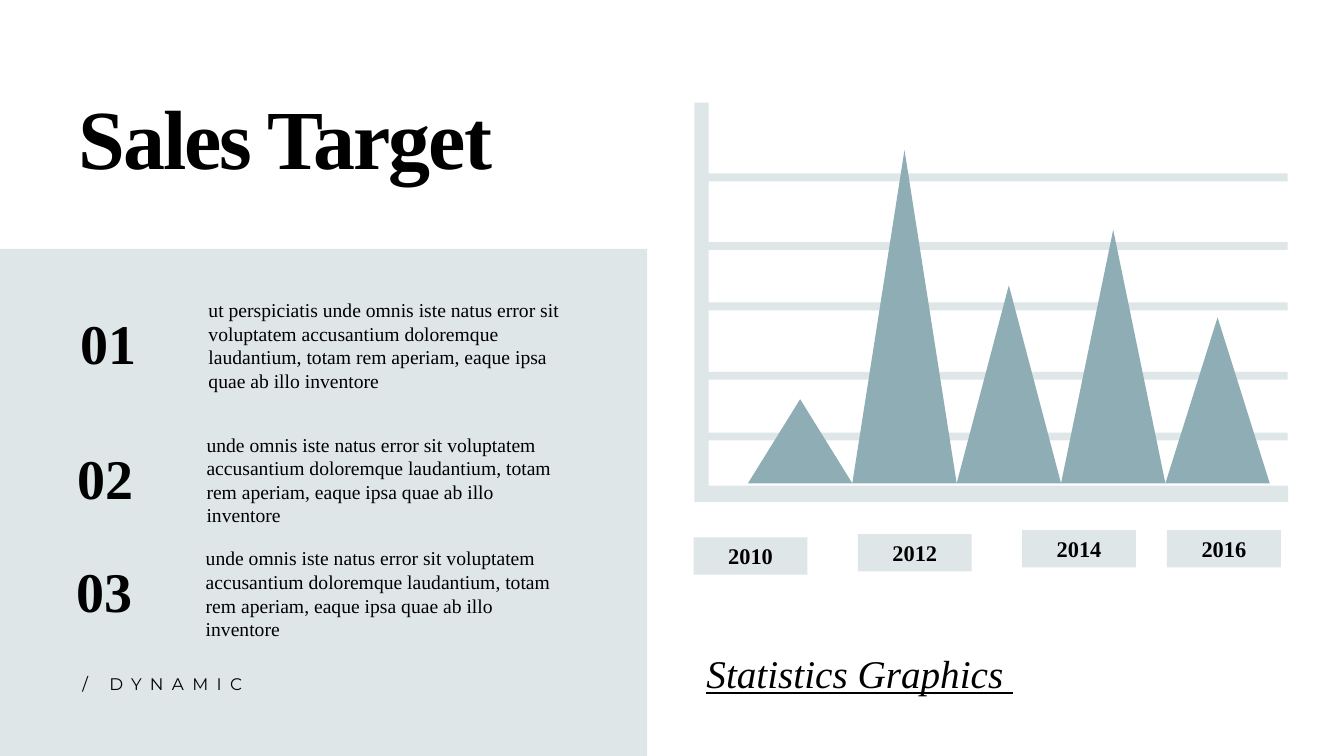
from dataclasses import dataclass, field
from typing import Any

from pptx import Presentation
from pptx import util as u
from pptx.dml.color import RGBColor
from pptx.enum import shapes, text
from pptx.oxml.ns import qn


@dataclass(frozen=True)
class Theme:
    ink: RGBColor = RGBColor(0x00, 0x00, 0x00)
    pale: RGBColor = RGBColor(0xDE, 0xE6, 0xE8)
    teal: RGBColor = RGBColor(0x8E, 0xAD, 0xB4)
    serif: str = "Times New Roman"
    sans: str = "Montserrat"
    title: int = 60
    number: int = 40
    caption: int = 28
    year: int = 16
    body: int = 14
    footer: int = 12


THEME = Theme()


@dataclass(frozen=True)
class Box:
    left: float
    top: float
    width: float
    height: float

    def lengths(self) -> list[u.Length]:
        return [u.Cm(value) for value in (self.left, self.top, self.width, self.height)]


@dataclass(frozen=True)
class Style:
    size: int
    name: str = THEME.serif
    formats: dict[str, Any] = field(default_factory=dict)
    tracking: int = 0
    line_spacing: float = 1.0
    align: text.PP_ALIGN = text.PP_ALIGN.LEFT


@dataclass(frozen=True)
class Point:
    number: str
    description: str
    number_left: float
    number_top: float
    left: float
    top: float
    height: float


@dataclass(frozen=True)
class YearLabel:
    year: str
    left: float
    top: float


TITLE = Style(THEME.title, formats={"bold": True}, tracking=-150)
NUMBER = Style(THEME.number, formats={"bold": True})
BODY = Style(THEME.body)
CAPTION = Style(THEME.caption, formats={"italic": True, "underline": True}, line_spacing=1.5)
YEAR = Style(THEME.year, formats={"bold": True}, align=text.PP_ALIGN.CENTER)
FOOTER = Style(THEME.footer, THEME.sans, tracking=600)

SHARED_TEXT = (
    "unde omnis iste natus error sit voluptatem accusantium doloremque "
    "laudantium, totam rem aperiam, eaque ipsa quae ab illo inventore"
)
POINTS = [
    Point("01", f"ut perspiciatis {SHARED_TEXT}", 1.78, 7.65, 5.0, 7.39, 2.62),
    Point("02", SHARED_TEXT, 1.7, 11.05, 4.95, 10.77, 2.57),
    Point("03", SHARED_TEXT, 1.68, 13.89, 4.93, 13.64, 2.31),
]
YEAR_LABELS = [
    YearLabel("2010", 17.48, 13.54),
    YearLabel("2012", 21.62, 13.46),
    YearLabel("2014", 25.76, 13.36),
    YearLabel("2016", 29.41, 13.36),
]
GRID_TOPS = [4.37, 6.1, 7.62, 9.37, 10.9]
PEAK_TOPS = [10.06, 3.78, 7.19, 5.79, 8.0]
PEAK_LEFT, PEAK_WIDTH, PEAK_BASE = 18.85, 2.63, 12.18
AXIS_OUTLINE = [
    (17.5, 2.59), (17.86, 2.59), (17.86, 12.24),
    (32.46, 12.24), (32.46, 12.65), (17.5, 12.65),
]


def paint(shape: Any, color: RGBColor) -> None:
    shape.shadow.inherit = False
    shape.fill.solid()
    shape.fill.fore_color.rgb = color
    shape.line.fill.background()


def add_block(
    slide: Any,
    box: Box,
    color: RGBColor,
    kind: shapes.MSO_SHAPE = shapes.MSO_SHAPE.RECTANGLE,
) -> Any:
    shape = slide.shapes.add_shape(kind, *box.lengths())
    paint(shape, color)
    return shape


def write(shape: Any, content: str, style: Style,
          anchor: text.MSO_ANCHOR = text.MSO_ANCHOR.TOP) -> None:
    frame = shape.text_frame
    frame.text = content
    frame_formats = {
        "word_wrap": True,
        "auto_size": text.MSO_AUTO_SIZE.NONE,
        "vertical_anchor": anchor,
    }
    for key, value in frame_formats.items():
        setattr(frame, key, value)

    paragraph = frame.paragraphs[0]
    paragraph_formats = {
        "alignment": style.align,
        "line_spacing": style.line_spacing,
        "space_before": u.Pt(0),
    }
    for key, value in paragraph_formats.items():
        setattr(paragraph, key, value)
    if shape.is_placeholder:
        properties = paragraph._p.get_or_add_pPr()
        properties.set("marL", "0")
        properties.set("indent", "0")
        properties.append(properties.makeelement(qn("a:buNone"), {}))

    run = paragraph.runs[0]
    font_formats = {"name": style.name, "size": u.Pt(style.size), "bold": False}
    for key, value in (font_formats | style.formats).items():
        setattr(run.font, key, value)
    run.font.color.rgb = THEME.ink
    if style.tracking:
        run._r.get_or_add_rPr().set("spc", str(style.tracking))


def fill_placeholder(placeholder: Any, box: Box, content: str, style: Style) -> None:
    for key, value in zip(("left", "top", "width", "height"), box.lengths()):
        setattr(placeholder, key, value)
    write(placeholder, content, style)


def add_text(slide: Any, box: Box, content: str, style: Style) -> None:
    write(slide.shapes.add_textbox(*box.lengths()), content, style)


def draw_graph(slide: Any) -> None:
    for top in GRID_TOPS:
        add_block(slide, Box(17.57, top, 14.88, 0.2), THEME.pale)
    corners = [(u.Cm(x), u.Cm(y)) for x, y in AXIS_OUTLINE]
    builder = slide.shapes.build_freeform(*corners[0])
    builder.add_line_segments(corners[1:], close=True)
    paint(builder.convert_to_shape(), THEME.pale)
    for index, top in enumerate(PEAK_TOPS):
        box = Box(PEAK_LEFT + index * PEAK_WIDTH, top, PEAK_WIDTH, PEAK_BASE - top)
        add_block(slide, box, THEME.teal, shapes.MSO_SHAPE.ISOSCELES_TRIANGLE)
    for label in YEAR_LABELS:
        block = add_block(slide, Box(label.left, label.top, 2.87, 0.94), THEME.pale)
        write(block, label.year, YEAR, text.MSO_ANCHOR.MIDDLE)


def draw_points(slide: Any, bodies: list[Any]) -> None:
    for point, body in zip(POINTS, bodies):
        box = Box(point.left, point.top, 9.58, point.height)
        fill_placeholder(body, box, point.description, BODY)
        add_text(slide, Box(point.number_left, point.number_top, 2.64, 1.96), point.number, NUMBER)


def main() -> None:
    presentation = Presentation()
    presentation.slide_width = u.Cm(33.87)
    presentation.slide_height = u.Cm(19.05)
    slide = presentation.slides.add_slide(presentation.slide_layouts.get_by_name("Comparison"))
    title, *bodies, caption = slide.placeholders

    panel = add_block(slide, Box(0, 6.27, 16.31, 12.78), THEME.pale)
    title._element.addprevious(panel._element)
    fill_placeholder(title, Box(1.73, 2.03, 13.59, 2.82), "Sales Target", TITLE)
    draw_graph(slide)
    draw_points(slide, bodies)
    fill_placeholder(caption, Box(17.55, 15.65, 14.88, 2.26), "Statistics Graphics ", CAPTION)
    add_text(slide, Box(1.83, 16.84, 12.7, 0.76), "/ DYNAMIC", FOOTER)
    presentation.save("out.pptx")


if __name__ == "__main__":
    main()
